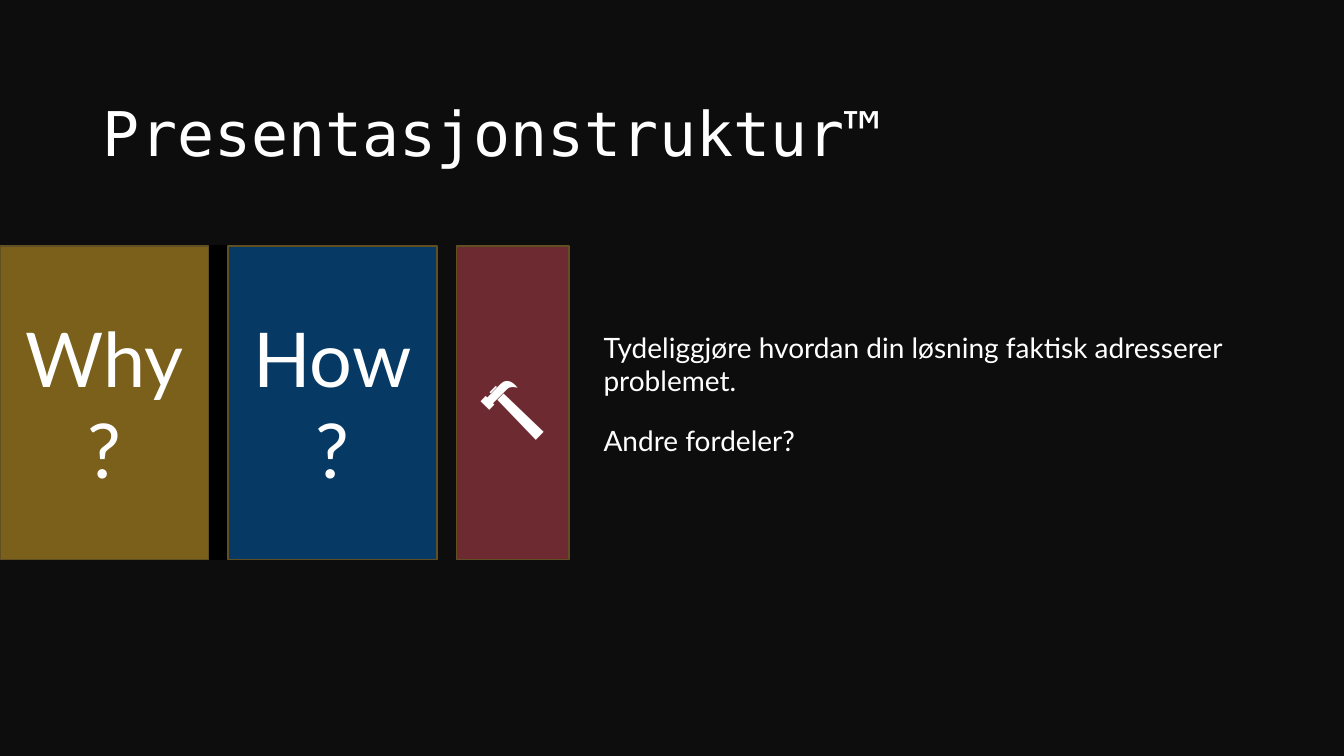
from pptx import Presentation, util as u
from pptx.dml.color import RGBColor
from pptx.enum import shapes, text

COLORS = {"background": "0D0D0D", "strip": "000000", "border": "5F4F23", "text": "FFFFFF",
          "why": "7A601A", "how": "063A65", "build": "6E2A31"}
TITLE = "Presentasjonstruktur™"
CARDS = [("Why?", "why", 5.26), ("How?", "how", 5.26), ("🔨", "build", 2.84)]
POINTS = [("Tydeliggjøre hvordan din løsning faktisk adresserer\vproblemet.", 8.2, 1.96),
          ("Andre fordeler?", 10.54, 1.12)]
CARD_TOP, CARD_HEIGHT, CARD_GAP = 6.2, 7.9, 0.49
STRIP_LEFT, STRIP_WIDTH = 3.43, 2.95
POINT_LEFT, POINT_WIDTH = 14.96, 19.18
TITLE_PLACE = {"left": 2.34, "top": 1.02, "width": 29.21, "height": 3.68}
FORMATS = {"title": {"name": "DejaVu Sans Mono", "size": u.Pt(44)},
           "card": {"name": "Lato", "size": u.Pt(54)},
           "point": {"name": "Lato", "size": u.Pt(20)}}


def rgb(key):
    return RGBColor.from_string(COLORS[key])


def write(frame, wording, role, align, anchor):
    frame.text = wording
    frame.word_wrap = True
    frame.vertical_anchor = anchor
    paragraph = frame.paragraphs[0]
    paragraph.alignment = align
    for run in paragraph.runs:
        for attribute, value in FORMATS[role].items():
            setattr(run.font, attribute, value)
        run.font.color.rgb = rgb("text")
    return paragraph


def add_panel(slide, left, width, fill, border):
    panel = slide.shapes.add_shape(shapes.MSO_SHAPE.RECTANGLE, u.Cm(left), u.Cm(CARD_TOP),
                                   u.Cm(width), u.Cm(CARD_HEIGHT))
    panel.shadow.inherit = False
    panel.fill.solid()
    panel.fill.fore_color.rgb = rgb(fill)
    panel.line.color.rgb = rgb(border)
    panel.line.width = u.Pt(1)
    return panel


def main():
    deck = Presentation()
    deck.slide_width, deck.slide_height = u.Cm(33.87), u.Cm(19.05)
    slide = deck.slides.add_slide(deck.slide_layouts[5])
    slide.background.fill.solid()
    slide.background.fill.fore_color.rgb = rgb("background")

    heading = slide.shapes.title
    for side, length in TITLE_PLACE.items():
        setattr(heading, side, u.Cm(length))
    line = write(heading.text_frame, TITLE, "title", text.PP_ALIGN.LEFT, text.MSO_ANCHOR.MIDDLE)
    line.line_spacing = 1.5
    heading.text_frame.auto_size = text.MSO_AUTO_SIZE.NONE

    add_panel(slide, STRIP_LEFT, STRIP_WIDTH, "strip", "strip")
    left = 0
    for label, fill, width in CARDS:
        card = add_panel(slide, left, width, fill, "border")
        write(card.text_frame, label, "card", text.PP_ALIGN.CENTER, text.MSO_ANCHOR.MIDDLE)
        left += width + CARD_GAP

    for wording, top, height in POINTS:
        point = slide.shapes.add_textbox(u.Cm(POINT_LEFT), u.Cm(top), u.Cm(POINT_WIDTH), u.Cm(height))
        write(point.text_frame, wording, "point", text.PP_ALIGN.LEFT, text.MSO_ANCHOR.TOP)
        point.text_frame.auto_size = text.MSO_AUTO_SIZE.SHAPE_TO_FIT_TEXT

    deck.save("out.pptx")


if __name__ == "__main__":
    main()
